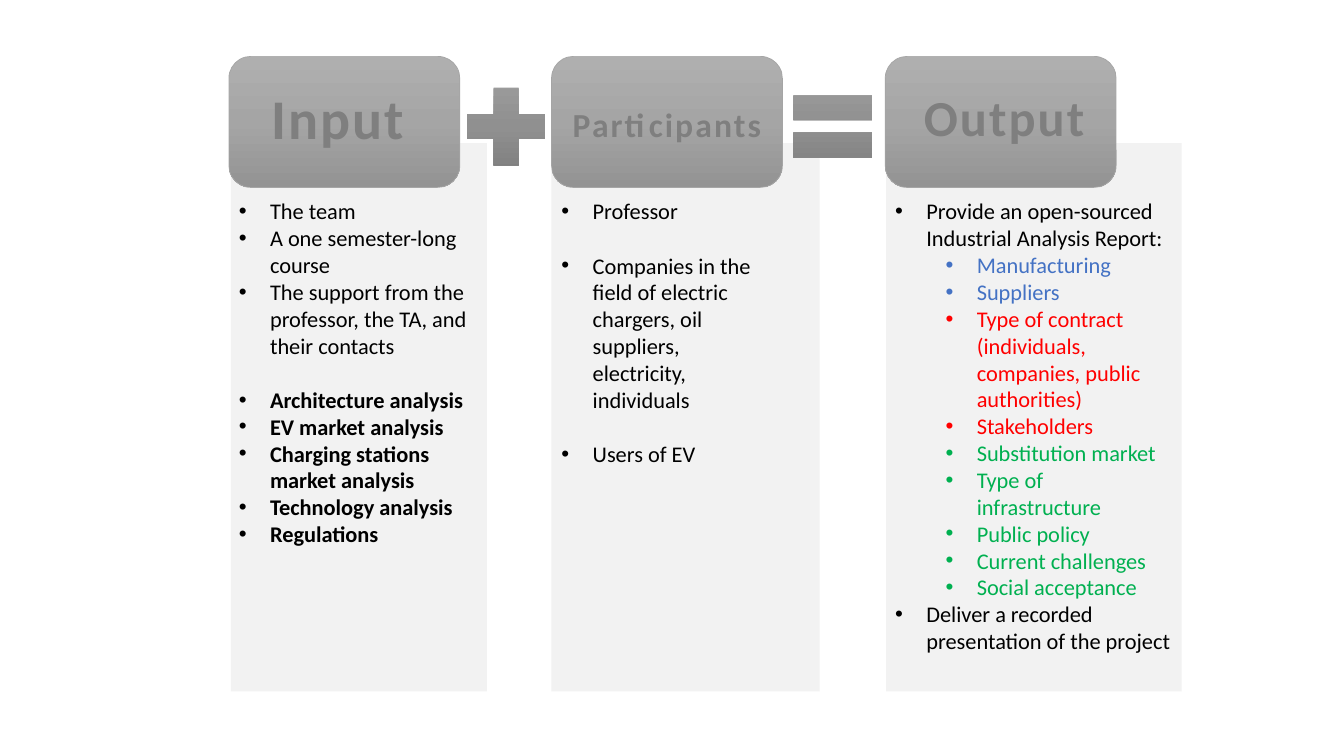
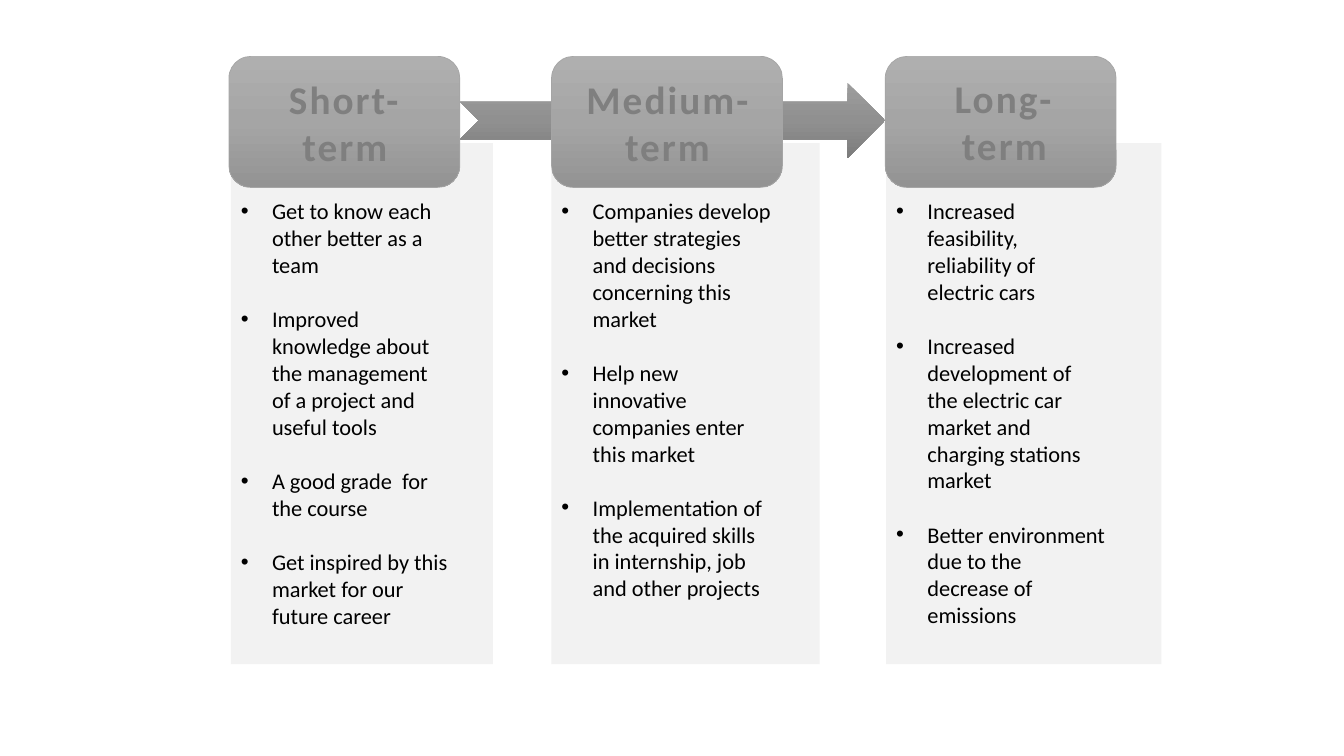
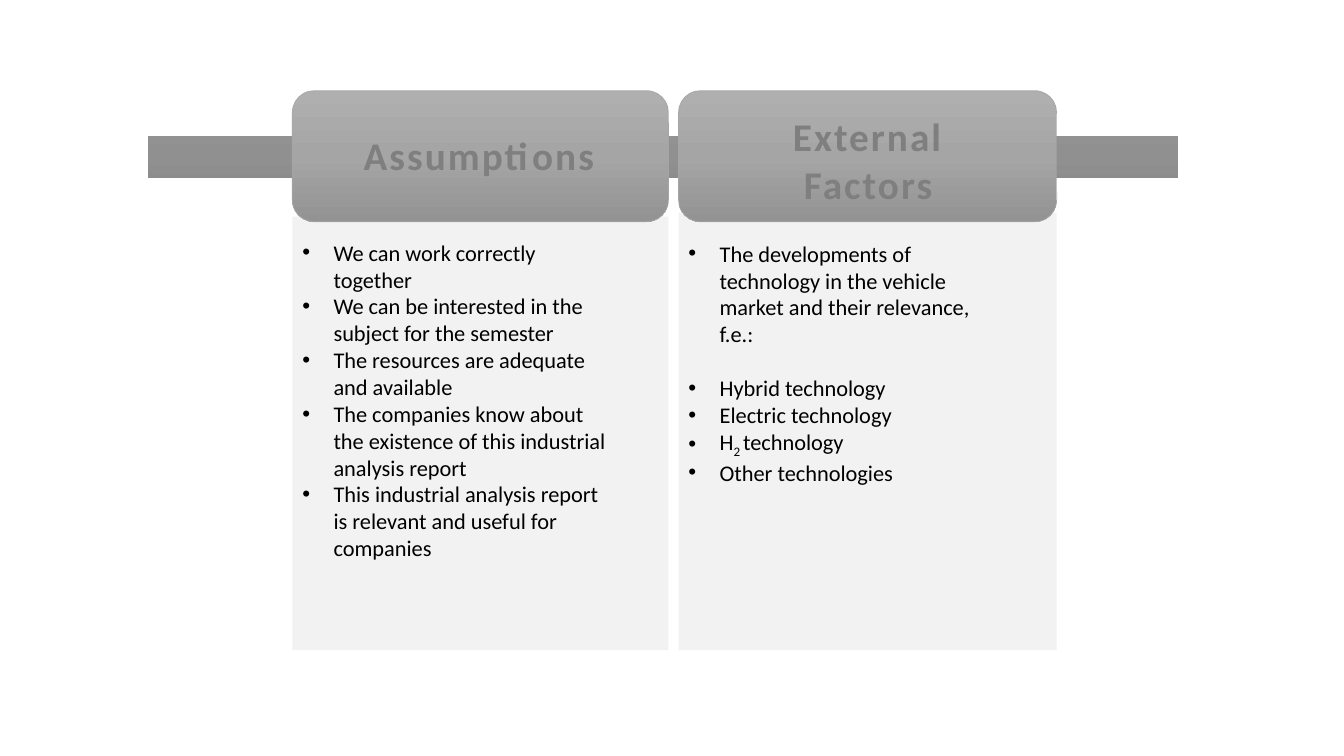
"""Build three column slides on the inputs, goals and assumptions of a project."""
from copy import deepcopy
from dataclasses import dataclass

from lxml import etree
from pptx import Presentation
from pptx.dml.color import RGBColor
from pptx.enum.shapes import MSO_SHAPE
from pptx.enum.text import MSO_AUTO_SIZE, PP_ALIGN
from pptx.oxml.ns import qn
from pptx.util import Inches, Pt

RECTANGLE = MSO_SHAPE.RECTANGLE
ROUNDED = MSO_SHAPE.ROUNDED_RECTANGLE
PLUS = MSO_SHAPE.MATH_PLUS
EQUAL = MSO_SHAPE.MATH_EQUAL
MINUS = MSO_SHAPE.MATH_MINUS
ARROW = MSO_SHAPE.NOTCHED_RIGHT_ARROW
CENTER = PP_ALIGN.CENTER
LEFT = PP_ALIGN.LEFT
GROW = MSO_AUTO_SIZE.SHAPE_TO_FIT_TEXT

BLACK = RGBColor(0x00, 0x00, 0x00)
BLUE = RGBColor(0x44, 0x72, 0xC4)
RED = RGBColor(0xFF, 0x00, 0x00)
GREEN = RGBColor(0x00, 0xB0, 0x50)
TITLE_GRAY = RGBColor(0x7F, 0x7F, 0x7F)
PANEL_GRAY = RGBColor(0xF2, 0xF2, 0xF2)
CARD_LINE = RGBColor(0xA5, 0xA5, 0xA5)
CARD_GRADIENT = (RGBColor(0xAF, 0xAF, 0xAF), CARD_LINE, RGBColor(0x93, 0x93, 0x93))
SIGN_GRADIENT = (RGBColor(0x9D, 0x9D, 0x9D), RGBColor(0x90, 0x90, 0x90),
                 RGBColor(0x7C, 0x7C, 0x7C))

FONT = "Calibri"
BODY_SIZE = 16
BLANK_LINE = 19.5
CARD_HEIGHT = 1.3
CARD_TOP = 0.56
CARD_WIDTH = 2.29
CARD_LEFTS = (2.27, 5.47, 8.78)
PANEL_LEFTS = (2.29, 5.47, 8.79)
PANEL_TOP = 1.42
LIST_TOP = 1.91


@dataclass
class Item:
    """One bullet; underscores enclose subscript text."""
    text: str
    color: RGBColor = BLACK
    bold: bool = False
    level: int = 0
    gap: bool = False


def add_paragraph(frame, text, size=BODY_SIZE, color=BLACK, bold=False,
                  align=LEFT, spacing=0):
    """Write a formatted paragraph, reusing the empty first one."""
    first = frame.paragraphs[0]
    paragraph = frame.add_paragraph() if first.runs else first
    paragraph.alignment = align
    for index, piece in enumerate(text.split("_")):
        run = paragraph.add_run()
        run.text = piece
        run.font.name = FONT
        run.font.size = Pt(size)
        run.font.bold = bold
        run.font.color.rgb = color
        properties = run._r.get_or_add_rPr()
        if spacing:
            properties.set("spc", str(int(spacing * 100)))
        if index % 2:
            properties.set("baseline", "-25000")
    return paragraph


def add_text_frame(slide, box):
    """Add a wrapping text box and return its frame."""
    frame = slide.shapes.add_textbox(*map(Inches, box)).text_frame
    frame.word_wrap = True
    frame.auto_size = GROW
    return frame


def add_title(slide, box, size, *lines):
    """Add the centred, letter-spaced heading of a card."""
    frame = add_text_frame(slide, box)
    for line in lines:
        add_paragraph(frame, line, size=size, color=TITLE_GRAY, bold=True,
                      align=CENTER, spacing=1.5)


def add_list(slide, box, items):
    """Add a bulleted list."""
    frame = add_text_frame(slide, box)
    for item in items:
        paragraph = add_paragraph(frame, item.text, color=item.color, bold=item.bold)
        paragraph.level = item.level
        if item.gap:
            paragraph.space_before = Pt(BLANK_LINE)
        properties = paragraph._p.get_or_add_pPr()
        properties.set("marL", str(Inches(0.31 + 0.5 * item.level)))
        properties.set("indent", str(Inches(-0.31)))
        etree.SubElement(properties, qn("a:buFont"), typeface="Arial")
        etree.SubElement(properties, qn("a:buChar"), char="\u2022")


def add_shape(slide, kind, box):
    """Add a preset shape without shadow or outline."""
    shape = slide.shapes.add_shape(kind, *map(Inches, box))
    shape.shadow.inherit = False
    shape.line.fill.background()
    return shape


def add_panel(slide, box):
    """Add the light area behind a list."""
    fill = add_shape(slide, RECTANGLE, box).fill
    fill.solid()
    fill.fore_color.rgb = PANEL_GRAY


def add_gradient_shape(slide, kind, box, colors=SIGN_GRADIENT):
    """Add a shape with an even top-to-bottom gradient."""
    shape = add_shape(slide, kind, box)
    fill = shape.fill
    fill.gradient()
    fill.gradient_angle = 270
    stops = shape._element.spPr.find(".//" + qn("a:gsLst"))
    stops.insert(1, deepcopy(stops[0]))
    for index, (stop, color) in enumerate(zip(fill.gradient_stops, colors)):
        stop.position = index / (len(colors) - 1)
        stop.color.rgb = color
    return shape


def add_card(slide, left, top=CARD_TOP, width=CARD_WIDTH):
    """Add the rounded card that carries a heading."""
    card = add_gradient_shape(slide, ROUNDED, (left, top, width, CARD_HEIGHT),
                              CARD_GRADIENT)
    card.line.color.rgb = CARD_LINE
    card.line.width = Pt(0.5)


def add_columns(slide, panel_widths, panel_height):
    """Add three panels with their cards."""
    for left, width in zip(PANEL_LEFTS, panel_widths):
        add_panel(slide, (left, PANEL_TOP, width, panel_height))
    for left in CARD_LEFTS:
        add_card(slide, left)


def build_inputs(slide):
    """Show input plus participants equals output."""
    add_columns(slide, (2.54, 2.66, 2.93), 5.44)
    add_title(slide, (2.39, 0.78, 1.92, 0.77), 40, "Input")
    add_title(slide, (5.47, 0.98, 2.29, 0.5), 24, "Participants")
    add_title(slide, (9, 0.81, 1.92, 0.71), 36, "Output")
    for sign, left in ((PLUS, 4.49), (EQUAL, 7.73)):
        add_gradient_shape(slide, sign, (left, 0.73, 1.06, 1.05))
    add_list(slide, (2.27, LIST_TOP, 2.55, 3.6), (
        Item("The team"),
        Item("A one semester-long course"),
        Item("The support from the professor, the TA, and their contacts"),
        Item("Architecture analysis", bold=True, gap=True),
        Item("EV market analysis", bold=True),
        Item("Charging stations market analysis", bold=True),
        Item("Technology analysis", bold=True),
        Item("Regulations", bold=True),
    ))
    add_list(slide, (5.47, LIST_TOP, 2.29, 2.79), (
        Item("Professor"),
        Item("Companies in the field of electric chargers, oil suppliers, "
             "electricity, individuals", gap=True),
        Item("Users of EV", gap=True),
    ))
    add_list(slide, (8.78, LIST_TOP, 2.94, 4.95), (
        Item("Provide an open-sourced Industrial Analysis Report:"),
        Item("Manufacturing", BLUE, level=1),
        Item("Suppliers", BLUE, level=1),
        Item("Type of contract (individuals, companies, public authorities)",
             RED, level=1),
        Item("Stakeholders", RED, level=1),
        Item("Substitution market", GREEN, level=1),
        Item("Type of infrastructure", GREEN, level=1),
        Item("Public policy", GREEN, level=1),
        Item("Current challenges", GREEN, level=1),
        Item("Social acceptance", GREEN, level=1),
        Item("Deliver a recorded presentation of the project"),
    ))


def build_goals(slide):
    """Show the goals by time horizon."""
    add_gradient_shape(slide, ARROW, (4.56, 0.82, 4.22, 0.75))
    add_columns(slide, (2.6, 2.66, 2.73), 5.17)
    add_title(slide, (2.46, 0.7, 1.92, 1.04), 28, "Short-term")
    add_title(slide, (5.66, 0.7, 1.92, 1.04), 28, "Medium-", "term")
    add_title(slide, (9, 0.69, 1.92, 1.04), 28, "Long-term")
    add_list(slide, (2.29, LIST_TOP, 2.27, 4.41), (
        Item("Get to know each other better as a team"),
        Item("Improved knowledge about the management of a project and "
             "useful tools", gap=True),
        Item("A good grade  for the course", gap=True),
        Item("Get inspired by this market for our future career", gap=True),
    ))
    add_list(slide, (5.47, LIST_TOP, 2.29, 4.14), (
        Item("Companies develop better strategies and decisions concerning "
             "this market"),
        Item("Help new innovative companies enter this market", gap=True),
        Item("Implementation of the acquired skills in internship, job and "
             "other projects", gap=True),
    ))
    add_list(slide, (8.79, LIST_TOP, 2.28, 4.41), (
        Item("Increased feasibility, reliability of electric cars"),
        Item("Increased development of the electric car market and charging "
             "stations market", gap=True),
        Item("Better environment due to the decrease of emissions", gap=True),
    ))


def build_assumptions(slide):
    """Show the assumptions beside the external factors."""
    add_panel(slide, (2.9, 2.15, 3.73, 4.3))
    add_panel(slide, (6.73, 2.11, 3.75, 4.34))
    add_gradient_shape(slide, MINUS, (-0.37, 0.69, 13.9, 1.73))
    add_card(slide, 2.9, top=0.9, width=3.73)
    add_card(slide, 6.73, top=0.9, width=3.75)
    add_title(slide, (3.36, 1.25, 2.78, 0.57), 28, "Assumptions")
    add_title(slide, (7.09, 1.07, 3.04, 1.04), 28, "External Factors")
    add_list(slide, (2.9, 2.32, 3.24, 3.33), (
        Item("We can work correctly together"),
        Item("We can be interested in the subject for the semester"),
        Item("The resources are adequate and available"),
        Item("The companies know about the existence of this industrial "
             "analysis report"),
        Item("This industrial analysis report is relevant and useful for "
             "companies"),
    ))
    add_list(slide, (6.73, 2.33, 3.26, 2.52), (
        Item("The developments of technology in the vehicle market and their "
             "relevance, f.e.:"),
        Item("Hybrid technology", gap=True),
        Item("Electric technology"),
        Item("H_2 _technology"),
        Item("Other technologies"),
    ))


def main():
    """Build and save the presentation."""
    presentation = Presentation()
    presentation.slide_width = Inches(13.33)
    presentation.slide_height = Inches(7.5)
    blank = presentation.slide_layouts[6]
    for build in (build_inputs, build_goals, build_assumptions):
        build(presentation.slides.add_slide(blank))
    presentation.save("out.pptx")


main()
